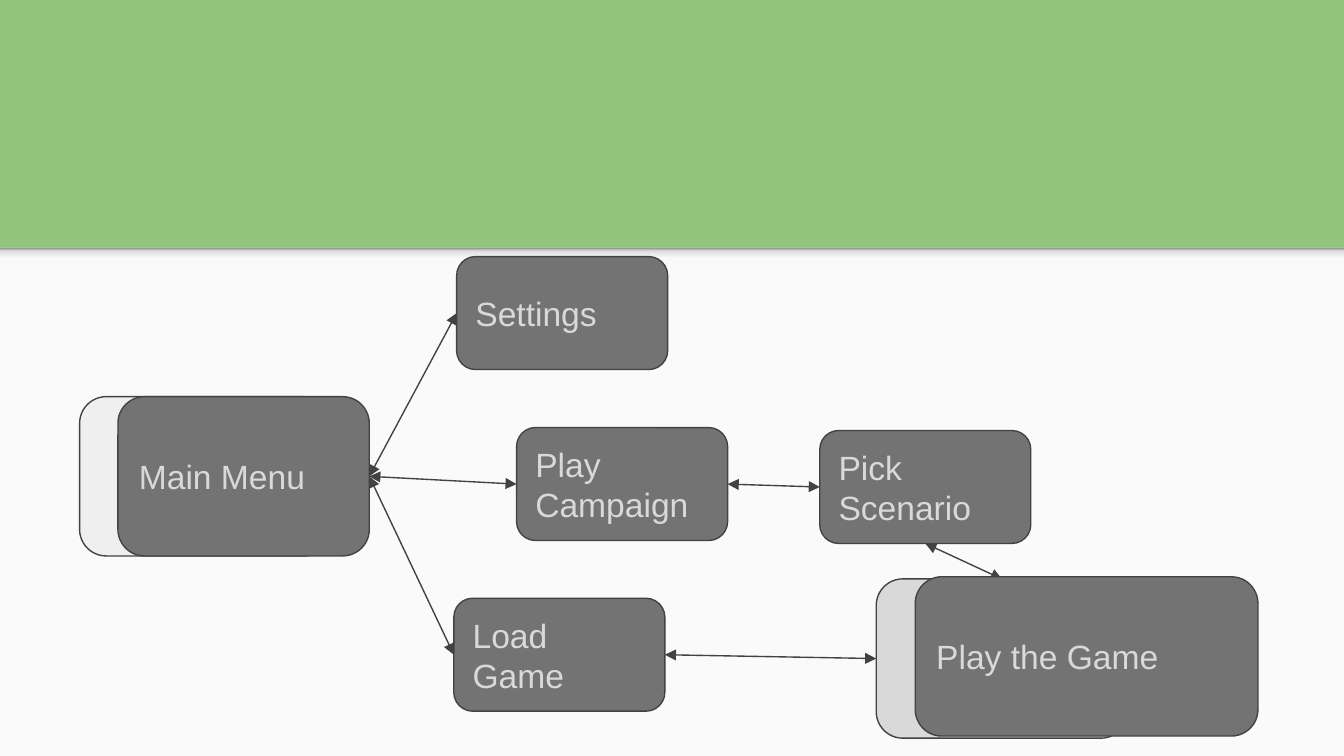
from pptx import Presentation
from pptx.dml.color import RGBColor
from pptx.enum.shapes import MSO_CONNECTOR, MSO_SHAPE
from pptx.enum.text import MSO_ANCHOR, PP_ALIGN
from pptx.util import Inches, Pt
from lxml import etree
from copy import deepcopy

RECT = MSO_SHAPE.RECTANGLE
CARD = MSO_SHAPE.FLOWCHART_ALTERNATE_PROCESS
STRAIGHT = MSO_CONNECTOR.STRAIGHT
MIDDLE, LEFT_ALIGNED = MSO_ANCHOR.MIDDLE, PP_ALIGN.LEFT
TOP, LEFT, BOTTOM, RIGHT = range(4)
A = "{http://schemas.openxmlformats.org/drawingml/2006/main}"
DARK, EDGE = "737373", "424242"

# A 16:9 slide
deck = Presentation()
deck.slide_width = Inches(10)
deck.slide_height = deck.slide_width * 9 // 16
page = deck.slides.add_slide(deck.slide_layouts[6])

# Grid of square cells, 100 columns across the slide
CELL = deck.slide_width / 100
ROWS = deck.slide_height / CELL
HORIZON = 18.45


def color(value):
    return RGBColor.from_string(value)


def add_box(kind, cells, fill, edge=None, label=None):
    box = page.shapes.add_shape(kind, *(round(n * CELL) for n in cells))
    box.shadow.inherit = False
    box.fill.solid()
    box.fill.fore_color.rgb = color(fill)
    if edge:
        box.line.color.rgb = color(edge)
        box.line.width = Pt(0.75)
    else:
        box.line.fill.background()
    if label:
        frame = box.text_frame
        margins = {f"margin_{side}": Inches(0.1) for side in ("left", "right", "top", "bottom")}
        for name, value in {**margins, "vertical_anchor": MIDDLE, "word_wrap": True}.items():
            setattr(frame, name, value)
        para = frame.paragraphs[0]
        para.alignment = LEFT_ALIGNED
        span = para.add_run()
        span.text = label
        for name, value in {"name": "Arial", "size": Pt(18)}.items():
            setattr(span.font, name, value)
        span.font.color.rgb = color("D9D9D9")
    return box


# Green band above a pale panel
page.background.fill.solid()
page.background.fill.fore_color.rgb = color("93C47D")
add_box(RECT, (0, HORIZON, 100, ROWS - HORIZON), "FAFAFA")

# Soft shade below the band, darkest at its top edge
shade = add_box(RECT, (0, HORIZON, 100, 1.2), "F9F9F9")
shade.fill.gradient()
shade.fill.gradient_angle = 90
stop_list = shade.element.spPr.find(f".//{A}gsLst")
for stop in list(stop_list)[:2]:
    stop_list.append(deepcopy(stop))
shades = [(0, "F9F9F9"), (0.36, "F9F9F9"), (0.8, "DEDEDE"), (1, "999999")]
for stop, (position, tone) in zip(shade.fill.gradient_stops, shades):
    stop.position = position
    stop.color.rgb = color(tone)

# Screens: left, top, width, height in cells
SMALL, LARGE = (15.7, 8.4), (18.7, 11.85)
screens = [
    ("menu back", (5.93, 29.52, *LARGE), "EFEFEF", None),
    ("menu", (8.78, 29.52, *LARGE), DARK, "Main Menu"),
    ("settings", (33.98, 19.1, *SMALL), DARK, "Settings"),
    ("campaign", (38.44, 31.82, *SMALL), DARK, "Play Campaign"),
    ("load", (33.77, 44.52, *SMALL), DARK, "Load Game"),
    ("scenario", (61, 32.04, *SMALL), DARK, "Pick Scenario"),
    ("game back", (65.2, 43.08, *LARGE), "D9D9D9", None),
]
boxes = {name: add_box(CARD, cells, fill, EDGE, label) for name, cells, fill, label in screens}

# Two-way arrows between screens
links = [
    ("menu", RIGHT, "campaign", LEFT),
    ("menu", RIGHT, "settings", LEFT),
    ("menu", RIGHT, "load", LEFT),
    ("campaign", RIGHT, "scenario", LEFT),
    ("scenario", BOTTOM, "game back", TOP),
    ("load", RIGHT, "game back", LEFT),
]
for start, start_side, end, end_side in links:
    arrow = page.shapes.add_connector(STRAIGHT, 0, 0, 0, 0)
    arrow.begin_connect(boxes[start], start_side)
    arrow.end_connect(boxes[end], end_side)
    arrow.line.color.rgb = color(EDGE)
    arrow.line.width = Pt(0.75)
    properties = arrow.element.spPr
    for tip in ("headEnd", "tailEnd"):
        etree.SubElement(properties.find(f"{A}ln"), f"{A}{tip}", type="triangle")
    etree.SubElement(properties, f"{A}effectLst")

# The game screen lies over the arrow tips
add_box(CARD, (68.1, 42.92, 25.5, 11.85), DARK, EDGE, "Play the Game")

deck.save("out.pptx")
